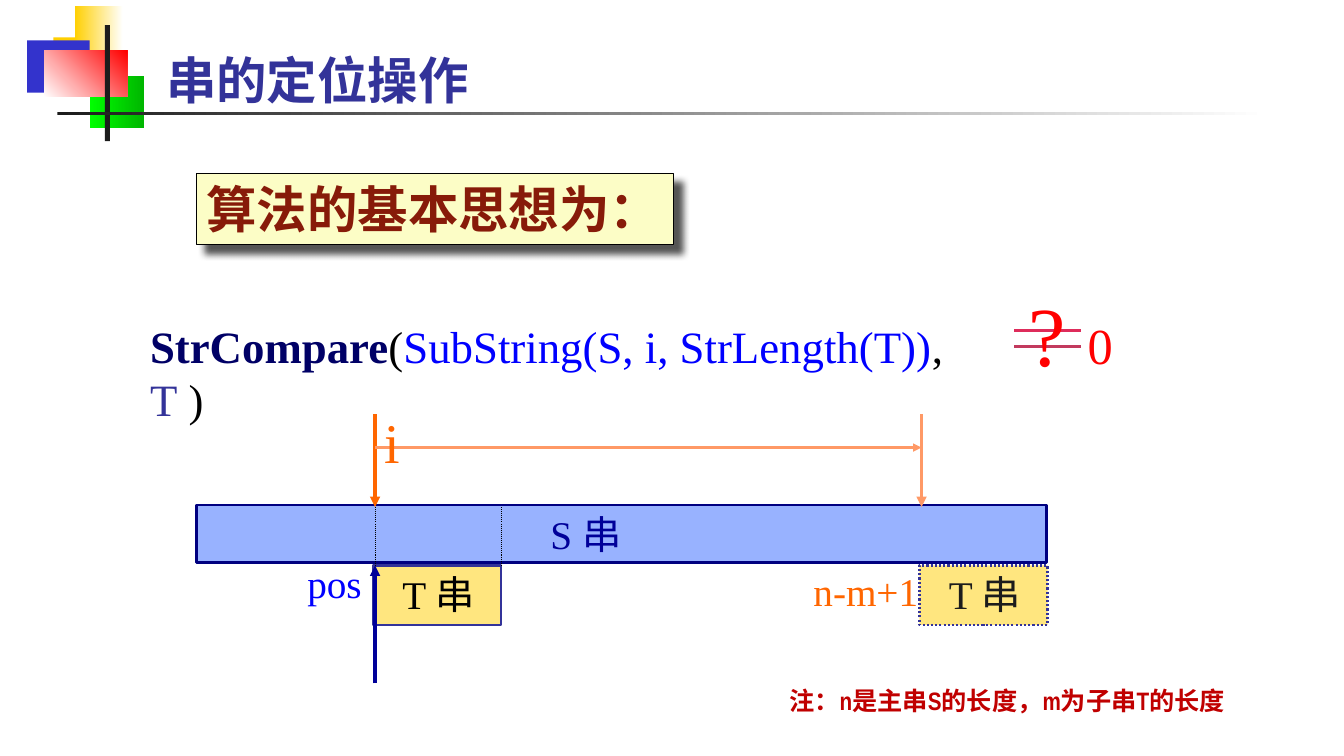
from dataclasses import dataclass

from lxml.etree import SubElement
from pptx import Presentation
from pptx.dml.color import RGBColor
from pptx.enum.dml import MSO_LINE
from pptx.enum.shapes import MSO_CONNECTOR, MSO_SHAPE
from pptx.enum.text import MSO_ANCHOR, PP_ALIGN
from pptx.oxml.ns import qn
from pptx.util import Inches, Pt


@dataclass(frozen=True)
class Theme:
    serif: str = "Times New Roman"
    narrow: str = "Arial Narrow"
    white: str = "FFFFFF"
    black: str = "000000"
    ink: str = "1C1C1C"
    gold: str = "FFCF01"
    indigo: str = "3333CC"
    lime: str = "00FF00"
    green: str = "00B600"
    red: str = "FF0000"
    title: str = "333399"
    cream: str = "FCFDC6"
    brown: str = "871B09"
    function: str = "000066"
    blue: str = "0000FF"
    bar: str = "3366FF"
    bar_edge: str = "000080"
    navy: str = "000099"
    orange: str = "FF6600"
    peach: str = "FF9966"
    equal_top: str = "DE2C5B"
    equal_bottom: str = "C23A5E"
    note: str = "C00000"
    note_size: int = 18
    label_size: int = 28
    code_size: int = 32
    heading_size: int = 36
    index_size: int = 40
    question_size: int = 60


THEME = Theme()


def rgb(color):
    return RGBColor.from_string(color)


def add_span(para, text, size=THEME.label_size, color=THEME.black, bold=False, font=THEME.serif):
    span = para.add_run()
    span.text = text
    span.font.size = Pt(size)
    span.font.name = font
    span.font.bold = bold
    span.font.color.rgb = rgb(color)


class SlideBuilder:
    def __init__(self, theme):
        self.theme = theme
        self.deck = Presentation()
        self.deck.slide_width = Inches(13.33)
        self.deck.slide_height = Inches(7.5)
        self.page = self.deck.slides.add_slide(self.deck.slide_layouts[6])

    def box(self, left, top, width, height, fill, end=None, angle=0, alpha=None,
            line=None, weight=0.75, dash=None):
        box = self.page.shapes.add_shape(
            MSO_SHAPE.RECTANGLE, Inches(left), Inches(top), Inches(width), Inches(height))
        box.shadow.inherit = False
        if end:
            box.fill.gradient()
            box.fill.gradient_angle = angle
            for stop, color in zip(box.fill.gradient_stops, (fill, end)):
                stop.color.rgb = rgb(color)
        else:
            box.fill.solid()
            box.fill.fore_color.rgb = rgb(fill)
        if alpha:
            color_node = next(box._element.spPr.iter(qn("a:srgbClr")))
            SubElement(color_node, qn("a:alpha"), val=str(alpha * 1000))
        if line:
            box.line.color.rgb = rgb(line)
            box.line.width = Pt(weight)
            if dash:
                box.line.dash_style = dash
        else:
            box.line.fill.background()
        return box

    def shadow(self, box, color, alpha, blur, distance, angle):
        effects = box._element.spPr.find(qn("a:effectLst"))
        outer = SubElement(effects, qn("a:outerShdw"), blurRad=str(Pt(blur)),
                           dist=str(Pt(distance)), dir=str(angle * 60000),
                           algn="tl", rotWithShape="0")
        color_node = SubElement(outer, qn("a:srgbClr"), val=color)
        SubElement(color_node, qn("a:alpha"), val=str(alpha * 1000))

    def label(self, box, *spans, inset=0.1, wrap=True):
        frame = box.text_frame
        frame.word_wrap = wrap
        frame.margin_left = Inches(inset)
        frame.vertical_anchor = MSO_ANCHOR.TOP
        para = frame.paragraphs[0]
        para.alignment = PP_ALIGN.LEFT
        for text, style in spans:
            add_span(para, text, **style)

    def text(self, left, top, width, height, *spans, wrap=True):
        box = self.page.shapes.add_textbox(
            Inches(left), Inches(top), Inches(width), Inches(height))
        self.label(box, *spans, wrap=wrap)

    def line(self, x1, y1, x2, y2, color, weight, dash=None, arrow=False):
        line = self.page.shapes.add_connector(
            MSO_CONNECTOR.STRAIGHT, Inches(x1), Inches(y1), Inches(x2), Inches(y2))
        line.line.color.rgb = rgb(color)
        line.line.width = Pt(weight)
        if dash:
            line.line.dash_style = dash
        properties = line._element.spPr
        if arrow:
            SubElement(properties.find(qn("a:ln")), qn("a:tailEnd"), type="triangle")
        SubElement(properties, qn("a:effectLst"))


def add_header(slide):
    theme = slide.theme
    slide.box(0.53, 0.37, 0.64, 0.52, theme.gold)
    slide.box(0.74, 0.06, 0.48, 0.52, theme.gold, end=theme.white)
    slide.box(0.27, 0.4, 0.62, 0.52, theme.indigo)
    slide.box(0.89, 0.75, 0.54, 0.52, theme.lime, end=theme.green)
    slide.box(0.44, 0.5, 0.82, 0.46, theme.white, end=theme.red, angle=45)
    slide.box(1.04, 0.25, 0.05, 1.15, theme.ink)
    slide.box(0.57, 1.11, 12, 0.03, theme.ink, end=theme.white)
    slide.text(1.55, 0.44, 8.3, 0.69, ("串的定位操作", dict(
        size=theme.heading_size, color=theme.title, bold=True, font=theme.narrow)))
    heading = slide.box(1.95, 1.72, 4.73, 0.71, theme.cream, line=theme.black)
    slide.shadow(heading, theme.ink, alpha=75, blur=5, distance=8.5, angle=45)
    slide.label(heading, ("算法的基本思想为：", dict(
        size=theme.heading_size, color=theme.brown, bold=True)))


def add_comparison(slide):
    theme = slide.theme
    size = theme.code_size
    slide.text(1.39, 3.11, 8.2, 1.1,
               ("StrCompare", dict(size=size, color=theme.function, bold=True)),
               ("(", dict(size=size)),
               ("SubString(S, i, StrLength(T))", dict(size=size, color=theme.blue)),
               (", ", dict(size=size)),
               ("T", dict(size=size, color=theme.title)),
               (" )", dict(size=size)))
    for y, color in ((3.28, theme.equal_top), (3.44, theme.equal_bottom)):
        slide.line(10.06, y, 10.72, y, color, 2.25)
    for text, left, top, height, size in (("?", 10.1, 2.75, 1.06, theme.question_size),
                                          ("0", 10.69, 3.07, 0.7, theme.heading_size)):
        slide.text(left, top, 0.57, height, (text, dict(size=size, color=theme.red)), wrap=False)


def add_strings(slide):
    theme = slide.theme
    start, last, string_top, pattern_top, pattern_width = 3.72, 9.14, 5.03, 5.61, 1.27
    main_string = slide.box(1.95, 5.01, 8.43, 0.57, theme.bar, alpha=50,
                            line=theme.bar_edge, weight=2)
    slide.label(main_string, ("S 串", dict(color=theme.navy)), inset=3.51)
    for x, dash, color in ((start, None, theme.black), (last, MSO_LINE.ROUND_DOT, theme.ink)):
        pattern = slide.box(x - 0.02, pattern_top, pattern_width, 0.59, theme.gold, alpha=50,
                            line=theme.title, weight=1.5, dash=dash)
        slide.label(pattern, ("T 串", dict(color=color)), inset=0.29)
    for x in (start, start + 1.25):
        slide.line(x, string_top, x, pattern_top, theme.black, 0.75, dash=MSO_LINE.ROUND_DOT)
    for x, color in ((start, theme.orange), (last, theme.peach)):
        slide.line(x, 4.11, x, string_top, color, 2.5, arrow=True)
    slide.line(start, 4.44, last, 4.44, theme.peach, 2, arrow=True)
    slide.line(start, 6.78, start, pattern_top, theme.navy, 2.5, arrow=True)
    for text, left, top, width, size, color in (
            ("i", start, 3.99, 0.36, theme.index_size, theme.orange),
            ("pos", 2.95, 5.5, 0.74, theme.label_size, theme.blue),
            ("n-m+1", 7.97, 5.58, 1.24, theme.label_size, theme.orange)):
        slide.text(left, top, width, 0.57, (text, dict(size=size, color=color)), wrap=False)


def main():
    slide = SlideBuilder(THEME)
    add_header(slide)
    add_comparison(slide)
    add_strings(slide)
    slide.text(7.73, 6.75, 4.56, 0.7, ("注：n是主串S的长度，m为子串T的长度", dict(
        size=THEME.note_size, color=THEME.note, bold=True, font=THEME.narrow)))
    slide.deck.save("out.pptx")


if __name__ == "__main__":
    main()
